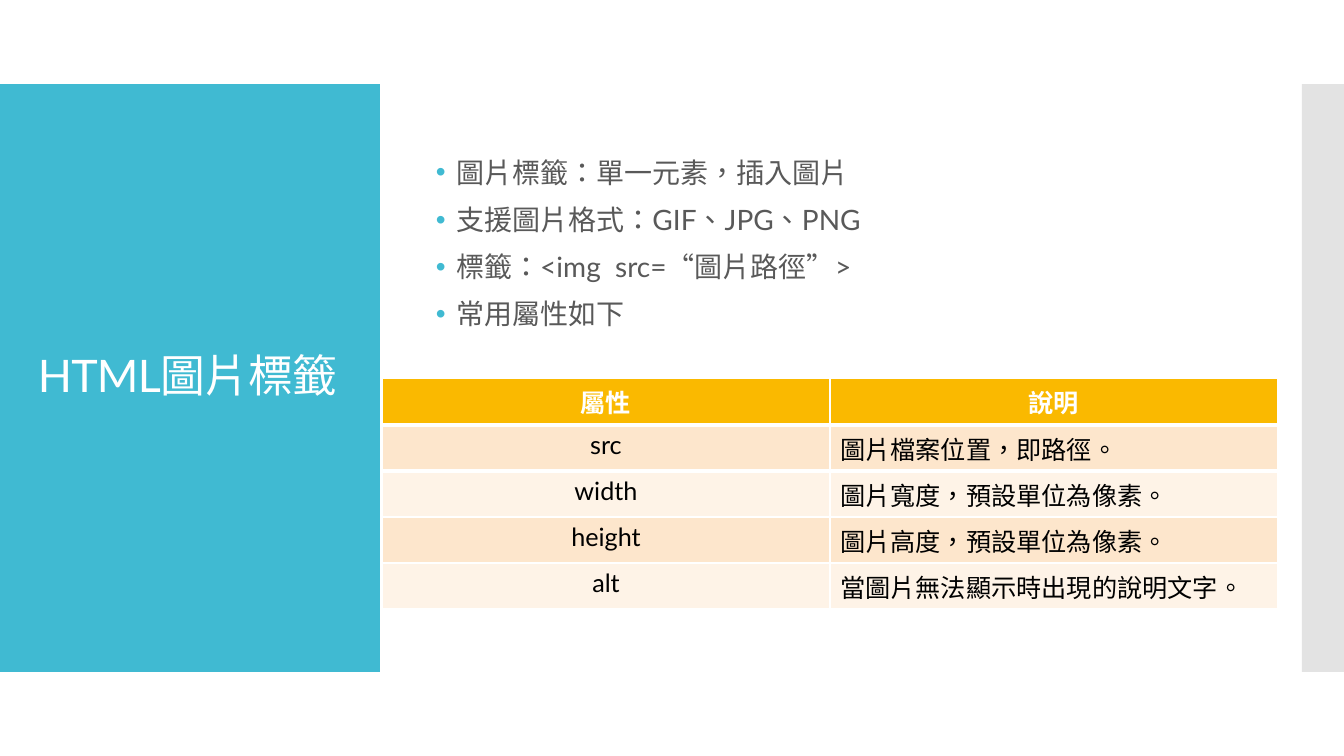
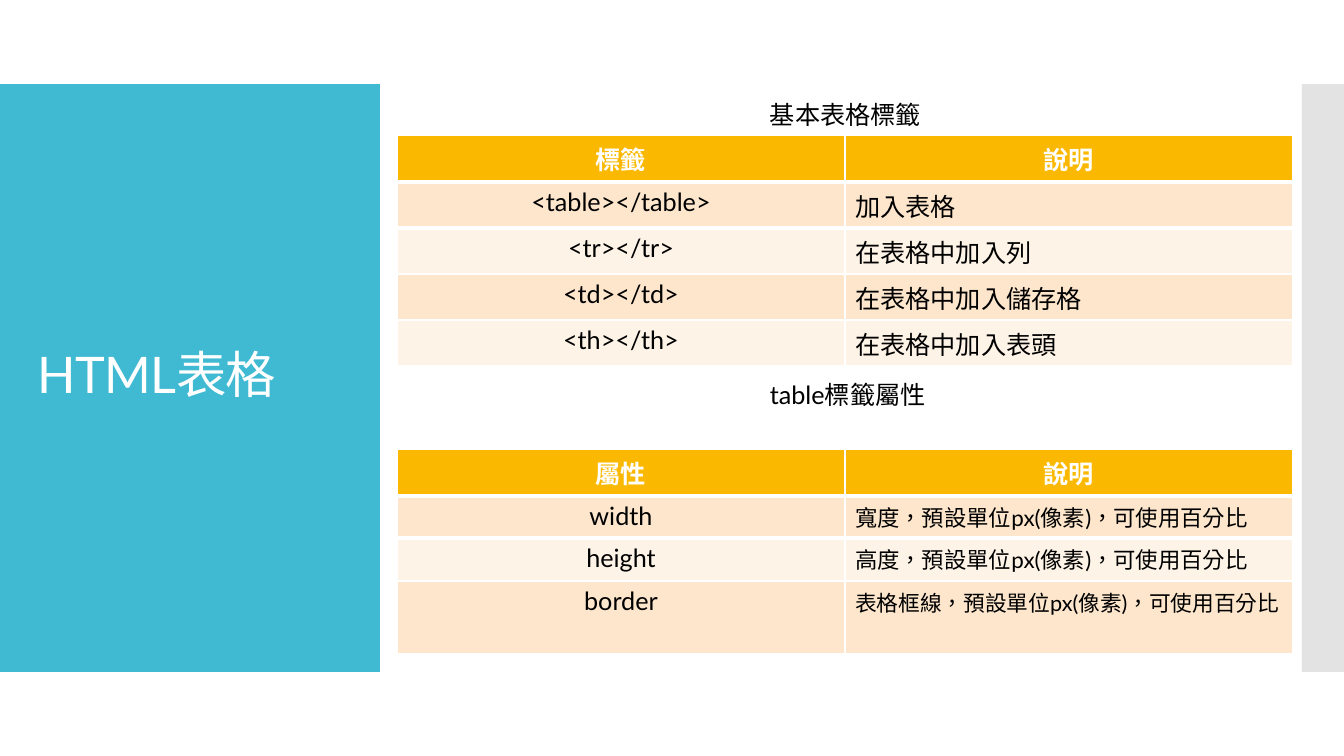
from lxml import etree
from pptx import Presentation
from pptx.dml.color import RGBColor
from pptx.enum.shapes import MSO_SHAPE
from pptx.enum.text import MSO_ANCHOR, PP_ALIGN
from pptx.oxml.ns import qn
from pptx.util import Emu, Pt

RECTANGLE = MSO_SHAPE.RECTANGLE
MIDDLE = MSO_ANCHOR.MIDDLE
CENTER, LEFT = PP_ALIGN.CENTER, PP_ALIGN.LEFT

PX = 914400 / 100.8
FONT = "Lato"
WHITE = RGBColor(0xFF, 0xFF, 0xFF)
BLACK = RGBColor(0x00, 0x00, 0x00)
TEAL = RGBColor(0x40, 0xBA, 0xD2)
SILVER = RGBColor(0xC8, 0xC8, 0xC8)
GRAY = RGBColor(0x59, 0x59, 0x59)
AMBER = RGBColor(0xFA, 0xB9, 0x00)
PEACH = RGBColor(0xFD, 0xE6, 0xCC)
CREAM = RGBColor(0xFE, 0xF3, 0xE7)

COLUMN_WIDTH = 448


def format_text(paragraph, size, color, bold=False, spacing=0):
    for run in paragraph.runs:
        run.font.name = FONT
        run.font.size = Pt(size)
        run.font.bold = bold
        run.font.color.rgb = color
        properties = run._r.get_or_add_rPr()
        properties.set("lang", "zh-TW")
        if spacing:
            properties.set("spc", str(spacing))


def box(left, top, width, height):
    return [Emu(round(length * PX)) for length in (left, top, width, height)]


prs = Presentation()
prs.slide_width, prs.slide_height = box(0, 0, 1344, 756)[2:]

bullets = [
    "圖片標籤：單一元素，插入圖片",
    "支援圖片格式：GIF、JPG、PNG",
    "標籤：<img  src=“圖片路徑”>",
    "常用屬性如下",
]
image_attributes = [
    ("屬性", "說明", 18, 47),
    ("src", "圖片檔案位置，即路徑。", 18, 46),
    ("width", "圖片寬度，預設單位為像素。", 18, 46),
    ("height", "圖片高度，預設單位為像素。", 18, 46),
    ("alt", "當圖片無法顯示時出現的說明文字。", 18, 46),
]
table_tags = [
    ("標籤", "說明", 18, 47),
    ("<table></table>", "加入表格", 18, 46),
    ("<tr></tr>", "在表格中加入列", 18, 46),
    ("<td></td>", "在表格中加入儲存格", 18, 46),
    ("<th></th>", "在表格中加入表頭", 18, 46),
]
table_attributes = [
    ("屬性", "說明", 18, 47),
    ("width", "寬度，預設單位px(像素)，可使用百分比", 16, 42),
    ("height", "高度，預設單位px(像素)，可使用百分比", 16, 43),
    ("border", "表格框線，預設單位px(像素)，可使用百分比", 15.5, 73),
]
pages = [
    ("HTML圖片標籤", 32, bullets, [(382, 378, image_attributes)], []),
    ("HTML表格", 36, [],
     [(397, 135, table_tags), (397, 449, table_attributes)],
     [("基本表格標籤", 94, 172), ("table標籤屬性", 374, 205)]),
]

for title, title_size, points, tables, captions in pages:
    slide = prs.slides.add_slide(prs.slide_layouts[6])

    for left, width, color in ((0, 380, TEAL), (1302, 42, SILVER)):
        band = slide.shapes.add_shape(RECTANGLE, *box(left, 84, width, 588))
        band.shadow.inherit = False
        band.fill.solid()
        band.fill.fore_color.rgb = color
        band.line.fill.background()
    silver_color = band._element.spPr.find(qn("a:solidFill"))[0]
    etree.SubElement(silver_color, qn("a:alpha"), val="50000")

    heading = slide.shapes.add_textbox(*box(28, 124, 325, 507)).text_frame
    heading.word_wrap = True
    heading.vertical_anchor = MIDDLE
    heading.text = title
    heading.paragraphs[0].line_spacing = 0.9
    format_text(heading.paragraphs[0], title_size, WHITE, spacing=-60)

    if points:
        body = slide.shapes.add_textbox(*box(426, 154, 806, 200)).text_frame
        body.word_wrap = True
        body.text = "\n".join(points)
        for point in body.paragraphs:
            point.line_spacing = 0.9
            point.space_before = Pt(12)
            format_text(point, 20, GRAY)
            properties = point._p.get_or_add_pPr()
            properties.set("marL", "182880")
            properties.set("indent", "-182880")
            bullet_color = etree.SubElement(properties, qn("a:buClr"))
            etree.SubElement(bullet_color, qn("a:srgbClr"), val=str(TEAL))
            etree.SubElement(properties, qn("a:buFont"), typeface="Arial")
            etree.SubElement(properties, qn("a:buChar"), char="•")

    for left, top, rows in tables:
        area = box(left, top, 2 * COLUMN_WIDTH, sum(row[-1] for row in rows))
        grid = slide.shapes.add_table(len(rows), 2, *area).table
        for r, (term, meaning, meaning_size, height) in enumerate(rows):
            grid.rows[r].height = Emu(round(height * PX))
            header = r == 0
            fill = AMBER if header else PEACH if r % 2 else CREAM
            for c, (text, size) in enumerate(((term, 18), (meaning, meaning_size))):
                cell = grid.cell(r, c)
                cell.fill.solid()
                cell.fill.fore_color.rgb = fill
                cell.text_frame.text = text
                paragraph = cell.text_frame.paragraphs[0]
                paragraph.alignment = CENTER if header or c == 0 else LEFT
                format_text(paragraph, size, WHITE if header else BLACK, header)
                if r < 2:
                    rule = etree.Element(qn("a:lnB" if header else "a:lnT"), w="38100")
                    rule_fill = etree.SubElement(rule, qn("a:solidFill"))
                    etree.SubElement(rule_fill, qn("a:srgbClr"), val=str(WHITE))
                    cell._tc.get_or_add_tcPr().insert(0, rule)

    for text, top, width in captions:
        caption = slide.shapes.add_textbox(*box(760, top, width, 40)).text_frame
        caption.word_wrap = True
        caption.text = text
        format_text(caption.paragraphs[0], 18, BLACK)

prs.save("out.pptx")
